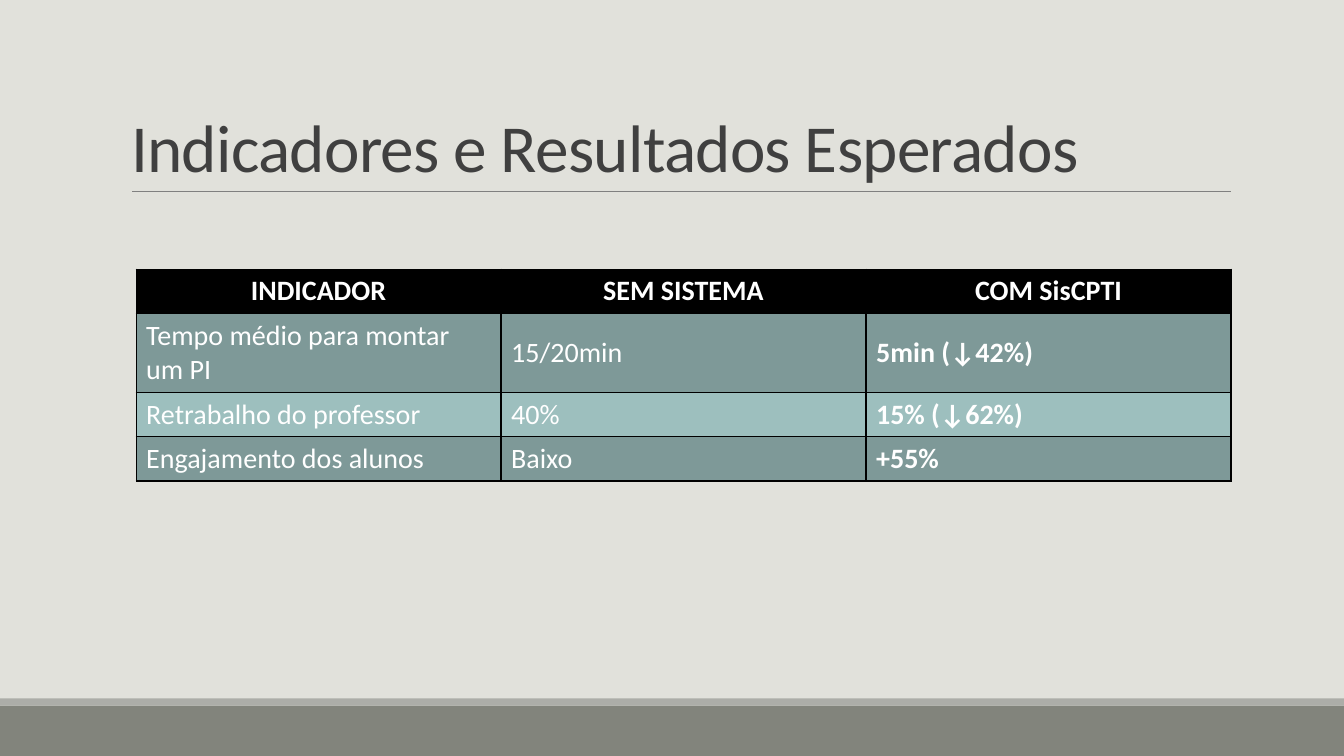
from dataclasses import dataclass

from lxml.etree import SubElement
from pptx import Presentation
from pptx.dml.color import RGBColor
from pptx.enum.shapes import MSO_CONNECTOR, MSO_SHAPE
from pptx.enum.text import MSO_ANCHOR, MSO_AUTO_SIZE, PP_ALIGN
from pptx.oxml.ns import qn
from pptx.slide import Slide
from pptx.table import _Cell
from pptx.text.text import _Paragraph, _Run
from pptx.util import Inches, Pt


@dataclass(frozen=True)
class Theme:
    font: str = "Calibri"
    title_size: float = 48
    table_size: float = 20
    background: str = "E1E1DB"
    title: str = "404040"
    rule: str = "808080"
    footer: str = "82847C"
    footer_edge: str = "ACADA8"
    table_text: str = "FFFFFF"
    header: str = "000000"
    border: str = "000000"
    odd_row: str = "7E9998"
    even_row: str = "9DBFBE"


@dataclass(frozen=True)
class Band:
    top: float
    height: float
    color: str


@dataclass(frozen=True)
class Indicator:
    name: str
    without_system: str
    with_system: str
    height: float = 0.44


THEME = Theme()
SLIDE_WIDTH, SLIDE_HEIGHT = 13.33, 7.5
COLUMN_WIDTH = 3.62

FOOTER_BANDS = [
    Band(7, 0.5, THEME.footer),
    Band(6.93, 0.07, THEME.footer_edge),
]
HEADER = Indicator("INDICADOR", "SEM SISTEMA", "COM SisCPTI")
INDICATORS = [
    Indicator("Tempo médio para montar um PI", "15/20min", "5min (↓42%)", 0.77),
    Indicator("Retrabalho do professor", "40%", "15% (↓62%)"),
    Indicator("Engajamento dos alunos", "Baixo", "+55%"),
]


def rgb(color: str) -> RGBColor:
    return RGBColor.from_string(color)


def add_run(paragraph: _Paragraph, text: str, size: float, color: str,
            bold: bool = False) -> _Run:
    run = paragraph.add_run()
    run.text = text
    run.font.name = THEME.font
    run.font.size = Pt(size)
    run.font.bold = bold
    run.font.color.rgb = rgb(color)
    return run


def add_band(slide: Slide, band: Band) -> None:
    bar = slide.shapes.add_shape(
        MSO_SHAPE.RECTANGLE, Inches(0), Inches(band.top),
        Inches(SLIDE_WIDTH), Inches(band.height))
    bar.shadow.inherit = False
    bar.fill.solid()
    bar.fill.fore_color.rgb = rgb(band.color)
    bar.line.fill.background()


def add_title_rule(slide: Slide) -> None:
    rule = slide.shapes.add_connector(
        MSO_CONNECTOR.STRAIGHT, Inches(1.31), Inches(1.9), Inches(12.21), Inches(1.9))
    rule.line.color.rgb = rgb(THEME.rule)
    rule.line.width = Pt(0.5)
    SubElement(rule._element.spPr, qn("a:effectLst"))


def write_title(slide: Slide, text: str) -> None:
    title = slide.shapes.title
    title.left, title.top = Inches(1.2), Inches(0.31)
    title.width, title.height = Inches(11), Inches(1.59)
    frame = title.text_frame
    frame.word_wrap = True
    frame.auto_size = MSO_AUTO_SIZE.NONE
    frame.vertical_anchor = MSO_ANCHOR.BOTTOM
    heading = frame.paragraphs[0]
    heading.alignment = PP_ALIGN.LEFT
    heading.line_spacing = 0.85
    run = add_run(heading, text, THEME.title_size, THEME.title)
    run.font._element.set("spc", "-50")


def add_borders(cell: _Cell) -> None:
    properties = cell._tc.get_or_add_tcPr()
    for side in ("lnL", "lnR", "lnT", "lnB"):
        border = SubElement(properties, qn(f"a:{side}"), w=str(Pt(1)))
        fill = SubElement(border, qn("a:solidFill"))
        SubElement(fill, qn("a:srgbClr"), val=THEME.border)


def write_cell(cell: _Cell, text: str, fill: str, is_header: bool, bold: bool) -> None:
    add_borders(cell)
    cell.fill.solid()
    cell.fill.fore_color.rgb = rgb(fill)
    cell.vertical_anchor = MSO_ANCHOR.TOP if is_header else MSO_ANCHOR.MIDDLE
    paragraph = cell.text_frame.paragraphs[0]
    paragraph.alignment = PP_ALIGN.CENTER if is_header else PP_ALIGN.LEFT
    add_run(paragraph, text, THEME.table_size, THEME.table_text, bold)


def add_indicator_table(slide: Slide) -> None:
    rows = [HEADER, *INDICATORS]
    table = slide.shapes.add_table(
        len(rows), 3, Inches(1.35), Inches(2.67), Inches(3 * COLUMN_WIDTH),
        Inches(sum(row.height for row in rows))).table
    for column in table.columns:
        column.width = Inches(COLUMN_WIDTH)
    for index, indicator in enumerate(rows):
        table.rows[index].height = Inches(indicator.height)
        is_header = index == 0
        row_fill = THEME.odd_row if index % 2 else THEME.even_row
        fill = THEME.header if is_header else row_fill
        texts = (indicator.name, indicator.without_system, indicator.with_system)
        for column_index, text in enumerate(texts):
            write_cell(table.cell(index, column_index), text, fill, is_header,
                       bold=is_header or column_index == 2)


def main() -> None:
    presentation = Presentation()
    presentation.slide_width = Inches(SLIDE_WIDTH)
    presentation.slide_height = Inches(SLIDE_HEIGHT)
    slide = presentation.slides.add_slide(
        presentation.slide_layouts.get_by_name("Title Only"))
    slide.background.fill.solid()
    slide.background.fill.fore_color.rgb = rgb(THEME.background)
    for band in FOOTER_BANDS:
        add_band(slide, band)
    add_title_rule(slide)
    write_title(slide, "Indicadores e Resultados Esperados")
    add_indicator_table(slide)
    presentation.save("out.pptx")


if __name__ == "__main__":
    main()
